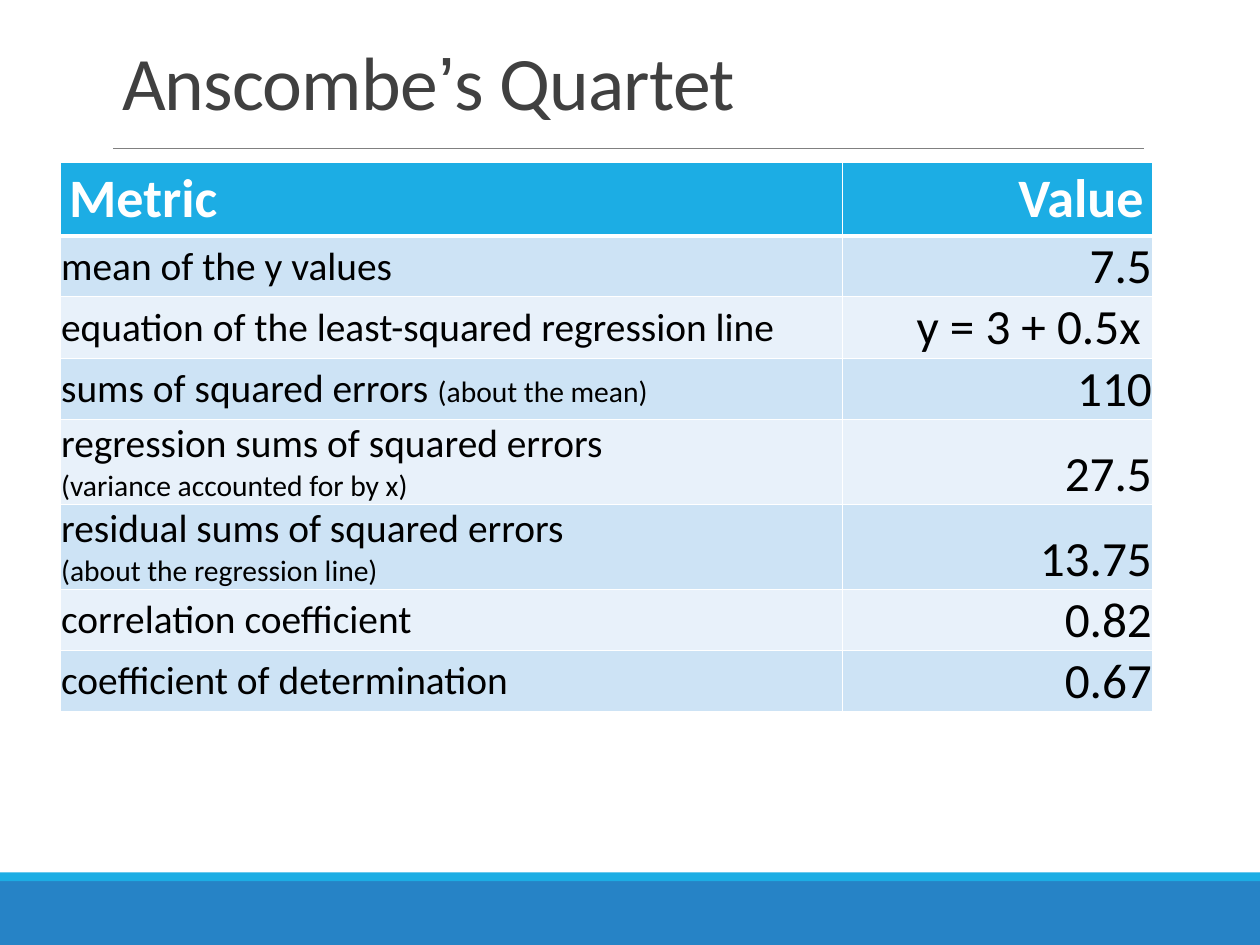
from lxml import etree
from pptx import Presentation
from pptx.dml.color import RGBColor
from pptx.enum.shapes import MSO_CONNECTOR, MSO_SHAPE
from pptx.enum.text import MSO_ANCHOR as ANC, PP_ALIGN as AL
from pptx.oxml.ns import qn
from pptx.util import Inches, Pt

WHITE = RGBColor(0xFF, 0xFF, 0xFF)
BLACK = RGBColor(0, 0, 0)
GREY = RGBColor(0x80, 0x80, 0x80)
DARK = RGBColor(0x40, 0x40, 0x40)
BLUE = RGBColor(0x26, 0x83, 0xC6)
CYAN = RGBColor(0x1C, 0xAD, 0xE4)
BANDS = [RGBColor(0xCD, 0xE3, 0xF5), RGBColor(0xE8, 0xF1, 0xFA)]

W, H = 14.22, 10.67
ROWS = [
    ([[("mean of the y values", 32)]], "7.5"),
    ([[("equation of the least-squared regression line", 32)]], "y = 3 + 0.5x "),
    ([[("sums of squared errors ", 32), ("(about the mean)", 24)]], "110"),
    ([[("regression sums of squared errors", 32)],
      [("(variance accounted for by x)", 24)]], "27.5"),
    ([[("residual sums of squared errors", 32)],
      [("(about the regression line)", 24)]], "13.75"),
    ([[("correlation coefficient", 32)]], "0.82"),
    ([[("coefficient of determination", 32)]], "0.67"),
]


def add_run(p, text, size, color, name="Calibri", bold=False):
    r = p.add_run()
    r.text = text
    for key, value in dict(name=name, size=Pt(size), bold=bold).items():
        setattr(r.font, key, value)
    r.font.color.rgb = color
    return r


def add_bar(s, x, y, w, h, color):
    sp = s.shapes.add_shape(MSO_SHAPE.RECTANGLE, Inches(x), Inches(y), Inches(w), Inches(h))
    sp.shadow.inherit = False
    sp.fill.solid()
    sp.fill.fore_color.rgb = color
    sp.line.fill.background()


def add_footer(s, x, y, w, h):
    strip = 0.1
    add_bar(s, x, y + strip, w, h - strip, BLUE)
    add_bar(s, x, y, w, strip, CYAN)


def add_title(s, x, y, w, h):
    rule_y = Inches(y + h + 0.21)
    line = s.shapes.add_connector(MSO_CONNECTOR.STRAIGHT, Inches(x), rule_y,
                                  Inches(x + w - 0.1), rule_y)
    line.line.color.rgb = GREY
    line.line.width = Pt(0.5)
    etree.SubElement(line._element.spPr, qn("a:effectLst"))
    tf = s.shapes.add_textbox(Inches(x), Inches(y), Inches(w), Inches(h)).text_frame
    tf.word_wrap = True
    tf.vertical_anchor = ANC.BOTTOM
    p = tf.paragraphs[0]
    p.line_spacing = 0.85
    for text, name in [("Anscombe", "Calibri"), ("’", "Arial"), ("s Quartet", "Calibri")]:
        r = add_run(p, text, 61.4, DARK, name)
        r.font._element.set("spc", "-70")


def set_borders(cell, **widths):
    tcPr = cell._tc.get_or_add_tcPr()
    for i, (side, width) in enumerate(widths.items()):
        ln = etree.Element(qn(f"a:ln{side}"), w=str(Pt(width)))
        fill = etree.SubElement(ln, qn("a:solidFill"))
        etree.SubElement(fill, qn("a:srgbClr"), val=str(WHITE))
        tcPr.insert(i, ln)


def fill_cell(cell, lines, fill, color, align, bold=False):
    cell.fill.solid()
    cell.fill.fore_color.rgb = fill
    tf = cell.text_frame
    for i, runs in enumerate(lines):
        p = tf.add_paragraph() if i else tf.paragraphs[0]
        p.alignment = align
        for text, size in runs:
            add_run(p, text, size, color, bold=bold)


def add_metrics(s, x, y, w, h):
    heights = [0.83] + [0.96 if len(lines) > 1 else 0.69 for lines, _ in ROWS]
    table = s.shapes.add_table(len(heights), 2, Inches(x), Inches(y),
                               Inches(w), Inches(h)).table
    for col, width in zip(table.columns, [8.83, w - 8.83]):
        col.width = Inches(width)
    for row, height in zip(table.rows, heights):
        row.height = Inches(height)
    for c, (text, align) in enumerate([("Metric", AL.LEFT), ("Value", AL.RIGHT)]):
        cell = table.cell(0, c)
        fill_cell(cell, [[(text, 44)]], CYAN, WHITE, align, True)
        set_borders(cell, L=1, R=1, T=1, B=3)
    for i, (lines, value) in enumerate(ROWS):
        is_equation = "=" in value
        label, number = table.cell(i + 1, 0), table.cell(i + 1, 1)
        fill_cell(label, lines, BANDS[i % 2], BLACK, AL.LEFT)
        fill_cell(number, [[(value, 40)]], BANDS[i % 2], BLACK, AL.RIGHT)
        label.vertical_anchor = ANC.MIDDLE
        number.vertical_anchor = ANC.MIDDLE if is_equation else ANC.BOTTOM
        for cell in (label, number):
            for key, value_in in dict(left=0.01, top=0.01, right=0.01, bottom=0).items():
                setattr(cell, f"margin_{key}", Inches(value_in))
            set_borders(cell, L=1, R=1, T=1 if i else 3, B=1)
        if is_equation:
            number.margin_left = Inches(0.62)


def main():
    prs = Presentation()
    prs.slide_width, prs.slide_height = Inches(W), Inches(H)
    s = prs.slides.add_slide(prs.slide_layouts[6])
    add_footer(s, 0, 9.85, W, H - 9.85)
    add_title(s, 1.28, 0.45, 11.73, 1.02)
    add_metrics(s, 0.68, 1.83, 12.33, 6.2)
    prs.save("out.pptx")


if __name__ == "__main__":
    main()
